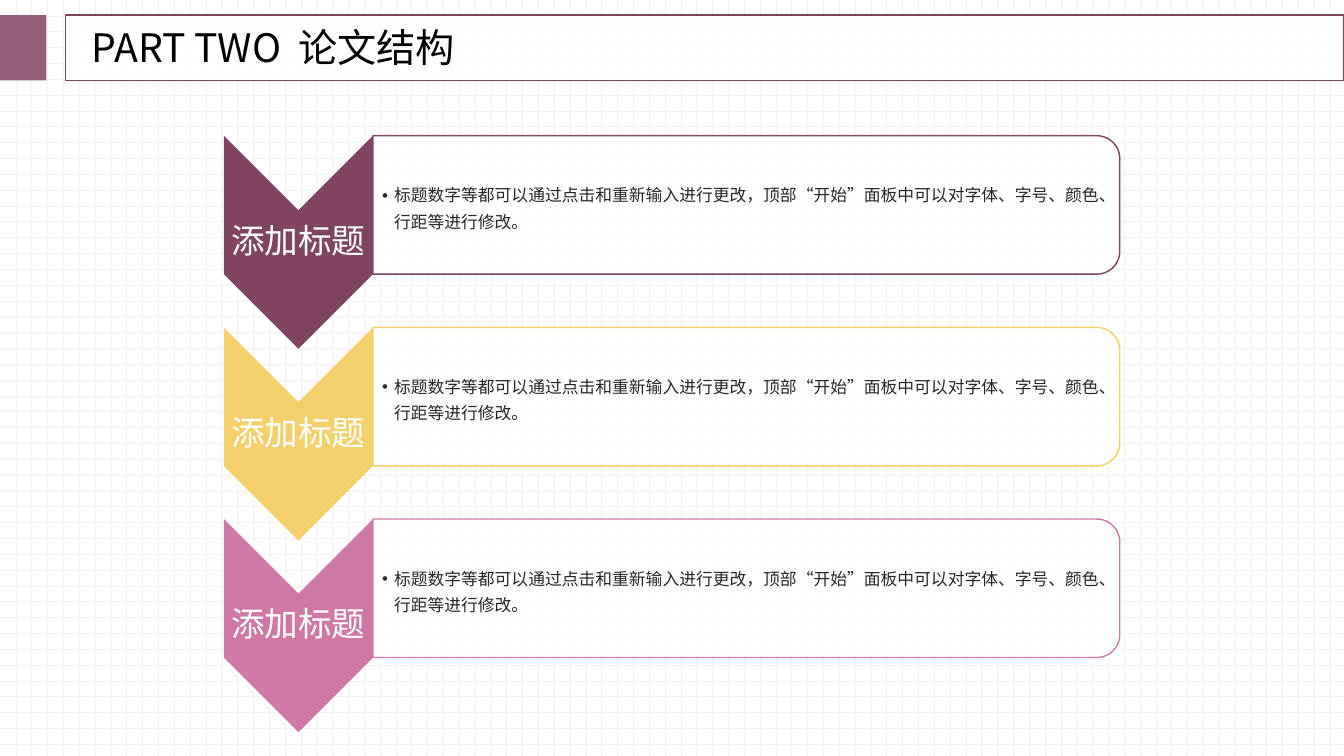
from dataclasses import dataclass

import pptx
import pptx.dml.color
import pptx.enum.dml
import pptx.enum.shapes
import pptx.enum.text
import pptx.oxml.ns
import pptx.shapes.autoshape
import pptx.slide
import pptx.text.text
import pptx.util
from lxml import etree
from pptx.util import Cm, Pt

SHAPE = pptx.enum.shapes.MSO_SHAPE
ANCHOR = pptx.enum.text.MSO_ANCHOR
CJK_FONT = "Noto Sans CJK SC"
PLUM, YELLOW, PINK, WHITE = "7E4460", "F3D06C", "D078A5", "FFFFFF"
LABEL = "添加标题"
DETAIL = ("标题数字等都可以通过点击和重新输入进行更改，顶部“开始”面板中"
          "可以对字体、字号、颜色、行距等进行修改。")
FIRST_TOP, ROW_PITCH = 3.42, 4.83
CHEVRON_LEFT, CHEVRON_WIDTH = 5.64, 3.76
PANEL_LEFT = CHEVRON_LEFT + CHEVRON_WIDTH


@dataclass
class Area:
    """A visible rectangle in centimetres."""
    left: float
    top: float
    width: float
    height: float


@dataclass
class Step:
    colour: str
    list_index: int


STEPS = [Step(PLUM, 1), Step(YELLOW, 2), Step(PINK, 3)]


def rgb(colour: str) -> pptx.dml.color.RGBColor:
    return pptx.dml.color.RGBColor.from_string(colour)


def place(shape, area: Area) -> None:
    shape.left, shape.top = Cm(area.left), Cm(area.top)
    shape.width, shape.height = Cm(area.width), Cm(area.height)


def add_block(slide: pptx.slide.Slide, kind: SHAPE, area: Area, fill: str,
              opacity: int = 100, line: str = "", turned: bool = False
              ) -> pptx.shapes.autoshape.Shape:
    """Draw a preset shape; a turned one is rotated 90° to fill its area."""
    if turned:
        shift = (area.width - area.height) / 2
        area = Area(area.left + shift, area.top - shift, area.height, area.width)
    block = slide.shapes.add_shape(kind, 0, 0, 0, 0)
    place(block, area)
    block.rotation = 90 if turned else 0
    block.shadow.inherit = False
    block.fill.solid()
    block.fill.fore_color.rgb = rgb(fill)
    if opacity < 100:
        tint = block.fill._xPr.find(".//" + pptx.oxml.ns.qn("a:srgbClr"))
        etree.SubElement(tint, pptx.oxml.ns.qn("a:alpha"), val=str(opacity * 1000))
    if line:
        block.line.color.rgb = rgb(line)
        block.line.width = Pt(1)
    else:
        block.line.fill.background()
    return block


def format_span(span: pptx.text.text._Run, size: int, colour: str,
                font: str = CJK_FONT) -> None:
    span.font.size = Pt(size)
    span.font.bold = False
    span.font.name = font
    span.font.color.rgb = rgb(colour)
    etree.SubElement(span.font._element, pptx.oxml.ns.qn("a:ea"), typeface=CJK_FONT)


def format_frame(frame: pptx.text.text.TextFrame, anchor: ANCHOR,
                 left: float, top: float, right: float) -> None:
    frame.word_wrap = True
    frame.auto_size = pptx.enum.text.MSO_AUTO_SIZE.NONE
    frame.vertical_anchor = anchor
    frame.margin_left, frame.margin_right = Cm(left), Cm(right)
    frame.margin_top = frame.margin_bottom = Cm(top)


def bring_to_front(slide: pptx.slide.Slide, shape) -> None:
    slide.shapes._spTree.append(shape._element)


def add_header(slide: pptx.slide.Slide) -> None:
    add_block(slide, SHAPE.RECTANGLE, Area(0, 0.38, 1.17, 1.65), PLUM, 85)
    add_block(slide, SHAPE.RECTANGLE, Area(1.65, 0.38, 32.21, 1.65), WHITE, 85, PLUM)
    title = slide.shapes.title
    place(title, Area(2.06, 0.58, 13.51, 1.47))
    format_frame(title.text_frame, ANCHOR.TOP, 0.25, 0.13, 0.25)
    para = title.text_frame.paragraphs[0]
    para.alignment = pptx.enum.text.PP_ALIGN.LEFT
    para.line_spacing = 0.9
    para.space_before = Pt(10)
    for words in ("PART TWO", " ", "论文结构"):
        span = para.add_run()
        span.text = words
        format_span(span, 28, "000000")
        if words == " ":
            span.font._element.set("spc", "600")
    bring_to_front(slide, title)


def add_label(slide: pptx.slide.Slide, top: float) -> None:
    box = slide.shapes.add_textbox(0, 0, 0, 0)
    place(box, Area(CHEVRON_LEFT, top, CHEVRON_WIDTH, 1.6))
    format_frame(box.text_frame, ANCHOR.MIDDLE, 0.05, 0.05, 0.05)
    box.text_frame.text = LABEL
    para = box.text_frame.paragraphs[0]
    para.alignment = pptx.enum.text.PP_ALIGN.CENTER
    para.line_spacing = 0.9
    format_span(para.runs[0], 24, WHITE, "Quicksand")


def fill_list(slide: pptx.slide.Slide, body, top: float) -> None:
    place(body, Area(PANEL_LEFT, top, 18.64, 3.15))
    format_frame(body.text_frame, ANCHOR.MIDDLE, 0.23, 0.03, 0.03)
    body.text_frame.text = DETAIL
    para = body.text_frame.paragraphs[0]
    para.level = 1
    para.alignment = pptx.enum.text.PP_ALIGN.LEFT
    para.line_spacing = 1.3
    para.space_before = Pt(0)
    para.space_after = Pt(2)
    settings = para._p.get_or_add_pPr()
    settings.set("marL", str(Cm(0.3)))
    settings.set("indent", str(-Cm(0.3)))
    etree.SubElement(settings, pptx.oxml.ns.qn("a:buFont"), typeface="Arial")
    etree.SubElement(settings, pptx.oxml.ns.qn("a:buChar"), char="•")
    format_span(para.runs[0], 12, "262626")
    bring_to_front(slide, body)


def add_step(slide: pptx.slide.Slide, step: Step, top: float, body) -> None:
    add_block(slide, SHAPE.CHEVRON, Area(CHEVRON_LEFT, top, CHEVRON_WIDTH, 5.37),
              step.colour, turned=True)
    add_label(slide, top + 1.89)
    add_block(slide, SHAPE.ROUND_2_SAME_RECTANGLE, Area(PANEL_LEFT, top, 18.82, 3.49),
              WHITE, 90, step.colour, turned=True)
    fill_list(slide, body, top + 0.18)


def main() -> None:
    deck = pptx.Presentation()
    deck.slide_width, deck.slide_height = Cm(33.87), Cm(19.05)
    comparison_layout = deck.slide_layouts[4]
    slide = deck.slides.add_slide(comparison_layout)
    backdrop = slide.background.fill
    backdrop.patterned()
    backdrop.pattern = pptx.enum.dml.MSO_PATTERN.DOTTED_GRID
    backdrop.fore_color.rgb = rgb("F2F2F2")
    backdrop.back_color.rgb = rgb(WHITE)

    bodies = {body.placeholder_format.idx: body for body in slide.placeholders}
    add_header(slide)
    for row, step in enumerate(STEPS):
        add_step(slide, step, FIRST_TOP + row * ROW_PITCH, bodies.pop(step.list_index))
    bodies.pop(0)
    for unused in bodies.values():
        slide.shapes._spTree.remove(unused._element)
    deck.save("out.pptx")


if __name__ == "__main__":
    main()
